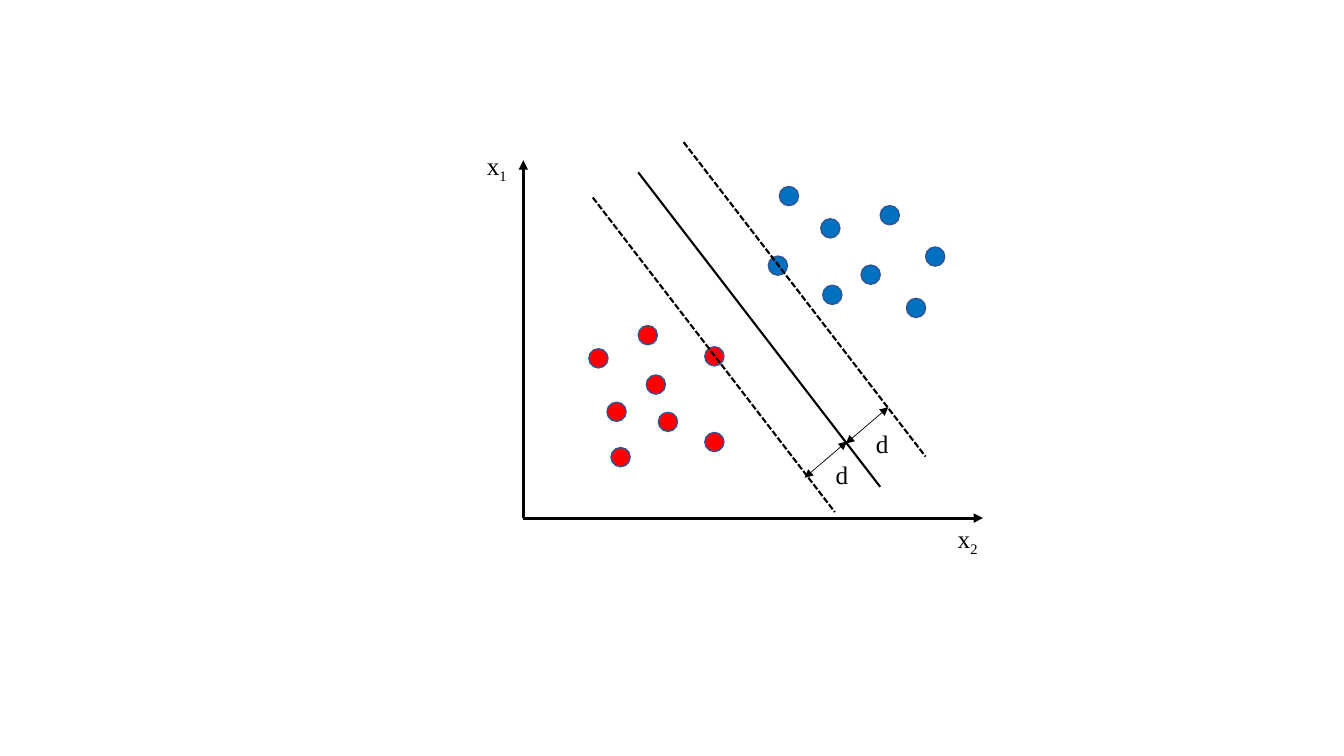
from lxml import etree
from pptx import Presentation
from pptx.dml.color import RGBColor
from pptx.enum.dml import MSO_LINE
from pptx.enum.shapes import MSO_CONNECTOR, MSO_SHAPE
from pptx.enum.text import MSO_AUTO_SIZE
from pptx.oxml.ns import qn
from pptx.util import Inches, Pt

BLACK = RGBColor(0x00, 0x00, 0x00)
RED = RGBColor(0xFF, 0x00, 0x00)
BLUE = RGBColor(0x00, 0x70, 0xC0)
OUTLINE = RGBColor(0x32, 0x54, 0x91)

FONT = "Times New Roman"
DOT_SIZE = 0.19
ORIGIN = (5.19, 5.14)
AXIS_TIPS = [(5.19, 1.59), (9.75, 5.14)]
BOUNDARY_RUN, BOUNDARY_DROP = 2.4, 3.12

RED_DOTS = [(6.33, 3.23), (5.84, 3.46), (6.41, 3.72), (6.02, 3.99),
            (6.99, 4.29), (6.99, 3.44), (6.53, 4.09), (6.06, 4.44)]
BLUE_DOTS = [(7.73, 1.85), (7.62, 2.54), (8.14, 2.17), (8.73, 2.04),
             (8.54, 2.63), (9.18, 2.45), (8.16, 2.83), (8.99, 2.96)]


def add_line(slide, start, end, width, dash=None, arrows=()):
    """Draw a black line; arrows names the ends that carry a triangle."""
    line = slide.shapes.add_connector(
        MSO_CONNECTOR.STRAIGHT, *(Inches(v) for v in (*start, *end)))
    line.line.color.rgb = BLACK
    line.line.width = Pt(width)
    if dash:
        line.line.dash_style = dash
    properties = line._element.spPr
    outline = properties.find(qn("a:ln"))
    for arrow in arrows:
        etree.SubElement(outline, qn(f"a:{arrow}"), type="triangle")
    etree.SubElement(properties, qn("a:effectLst"))


def add_boundary(slide, left, top, dash=None):
    """Draw one of the parallel lines of the separating margin."""
    end = (left + BOUNDARY_RUN, top + BOUNDARY_DROP)
    add_line(slide, (left, top), end, 1.5, dash)


def add_margin_arrow(slide, left, bottom):
    """Draw a double-headed arrow spanning the distance d."""
    add_line(slide, (left, bottom), (left + 0.42, bottom - 0.36), 0.5,
             arrows=("headEnd", "tailEnd"))


def add_dots(slide, positions, color):
    """Draw the data points of one class."""
    for left, top in positions:
        dot = slide.shapes.add_shape(
            MSO_SHAPE.OVAL, Inches(left), Inches(top),
            Inches(DOT_SIZE), Inches(DOT_SIZE))
        dot.shadow.inherit = False
        dot.fill.solid()
        dot.fill.fore_color.rgb = color
        dot.line.color.rgb = OUTLINE
        dot.line.width = Pt(1)


def add_label(slide, left, top, text, subscript=""):
    """Write a symbol with an optional subscript."""
    box = slide.shapes.add_textbox(
        Inches(left), Inches(top), Inches(0.7), Inches(0.4))
    frame = box.text_frame
    frame.word_wrap = True
    frame.auto_size = MSO_AUTO_SIZE.SHAPE_TO_FIT_TEXT
    for part in filter(None, (text, subscript)):
        run = frame.paragraphs[0].add_run()
        run.text = part
        run.font.name = FONT
        run.font.size = Pt(18)
        run.font.color.rgb = BLACK
        if part == subscript:
            run.font._element.set("baseline", "-25000")


def main():
    """Build the maximum-margin classifier slide."""
    prs = Presentation()
    prs.slide_width, prs.slide_height = Inches(13.33), Inches(7.5)
    slide = prs.slides.add_slide(prs.slide_layouts[6])

    for tip in AXIS_TIPS:
        add_line(slide, ORIGIN, tip, 2.25, arrows=("tailEnd",))
    add_dots(slide, RED_DOTS, RED)
    add_dots(slide, BLUE_DOTS, BLUE)

    add_boundary(slide, 5.88, 1.96, MSO_LINE.SQUARE_DOT)
    add_label(slide, 4.73, 1.44, "x", "1")
    add_label(slide, 9.4, 5.14, "x", "2")
    add_boundary(slide, 6.78, 1.41, MSO_LINE.SQUARE_DOT)
    add_boundary(slide, 6.33, 1.71)

    add_margin_arrow(slide, 7.98, 4.74)
    add_margin_arrow(slide, 8.39, 4.4)
    add_label(slide, 8.19, 4.51, "d")
    add_label(slide, 8.59, 4.2, "d")

    prs.save("out.pptx")


main()
